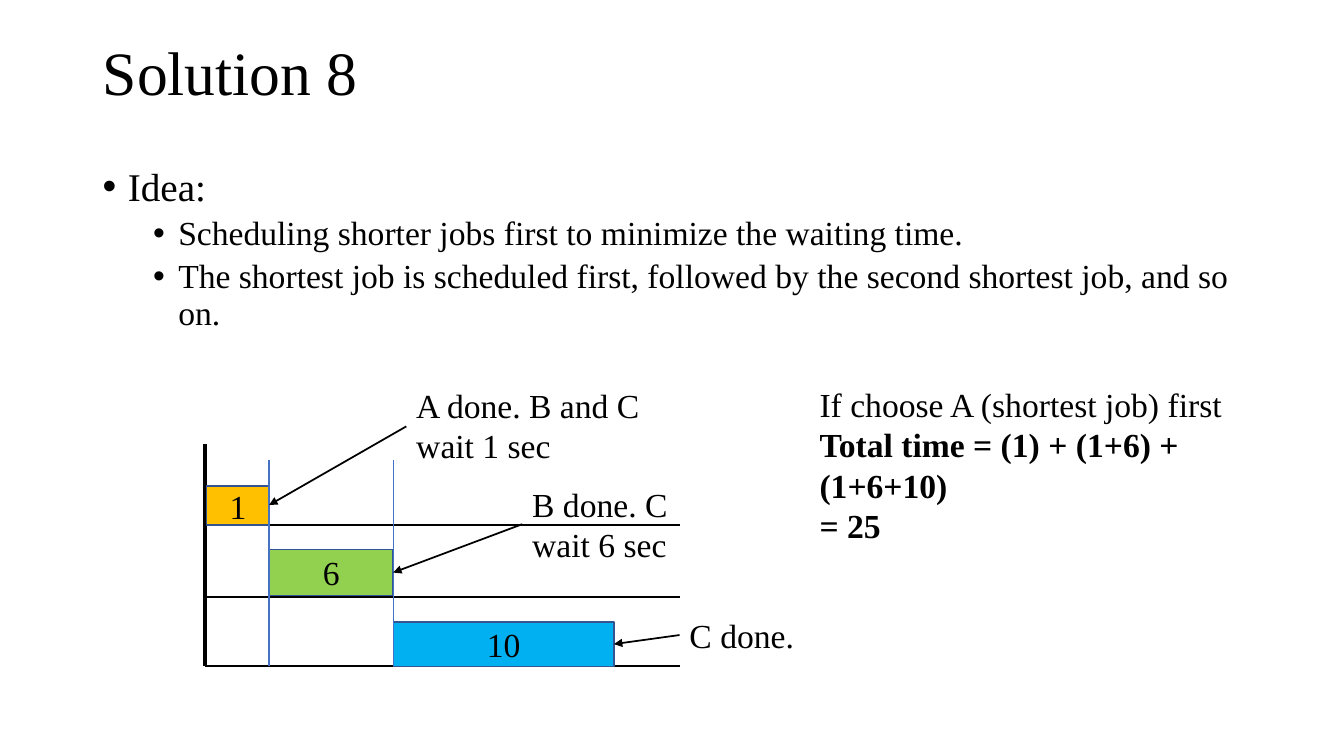
from lxml.etree import SubElement
from pptx import Presentation
from pptx.dml.color import RGBColor
from pptx.enum.shapes import MSO_CONNECTOR, MSO_SHAPE
from pptx.enum.text import MSO_ANCHOR, MSO_AUTO_SIZE, PP_ALIGN
from pptx.oxml.ns import qn
from pptx.util import Emu, Pt

BLACK = RGBColor(0x00, 0x00, 0x00)
ORANGE = RGBColor(0xFF, 0xC0, 0x00)
GREEN = RGBColor(0x92, 0xD0, 0x50)
SKY = RGBColor(0x00, 0xB0, 0xF0)
OUTLINE = RGBColor(0x32, 0x54, 0x91)
GUIDE = RGBColor(0x44, 0x72, 0xC4)
EMU_PER_PX = 9144


def px(length):
    return Emu(length * EMU_PER_PX)


class SlideBuilder:
    """Draws styled elements on one slide, at 100 px to the inch."""

    font_name = "Times New Roman"
    text_size = 24

    def __init__(self, presentation):
        self.slide = presentation.slides.add_slide(presentation.slide_layouts[5])

    def run(self, paragraph, text, size=text_size, bold=False):
        run = paragraph.add_run()
        run.text = text
        run.font.name = self.font_name
        run.font.size = Pt(size)
        run.font.bold = bold
        run.font.color.rgb = BLACK

    def title(self, text, left, top, width, height):
        shape = self.slide.shapes.title
        shape.left, shape.top = px(left), px(top)
        shape.width, shape.height = px(width), px(height)
        frame = shape.text_frame
        frame.auto_size = MSO_AUTO_SIZE.NONE
        frame.vertical_anchor = MSO_ANCHOR.MIDDLE
        paragraph = frame.paragraphs[0]
        paragraph.alignment = PP_ALIGN.LEFT
        paragraph.line_spacing = 0.9
        self.run(paragraph, text, 44)

    def text_frame(self, left, top, width, height):
        shape = self.slide.shapes.add_textbox(px(left), px(top), px(width), px(height))
        shape.text_frame.word_wrap = True
        return shape.text_frame

    def paragraphs(self, frame, count):
        return [frame.paragraphs[0]] + [frame.add_paragraph() for _ in range(count - 1)]

    def bullets(self, items, left, top, width, height):
        frame = self.text_frame(left, top, width, height)
        for paragraph, (level, text) in zip(self.paragraphs(frame, len(items)), items):
            paragraph.level = level
            properties = paragraph._p.get_or_add_pPr()
            properties.set("marL", str(px(25 + 50 * level)))
            properties.set("indent", str(px(-25)))
            SubElement(properties, qn("a:buFont")).set("typeface", "Arial")
            SubElement(properties, qn("a:buChar")).set("char", "•")
            paragraph.line_spacing = 0.9
            if level:
                paragraph.space_before = Pt(5)
            self.run(paragraph, text, 28 - 4 * level)

    def note(self, lines, left, top, width, height):
        frame = self.text_frame(left, top, width, height)
        frame.auto_size = MSO_AUTO_SIZE.SHAPE_TO_FIT_TEXT
        for paragraph, (text, bold) in zip(self.paragraphs(frame, len(lines)), lines):
            self.run(paragraph, text, bold=bold)

    def bar(self, text, left, top, width, height, color):
        shape = self.slide.shapes.add_shape(
            MSO_SHAPE.RECTANGLE, px(left), px(top), px(width), px(height))
        shape.shadow.inherit = False
        shape.fill.solid()
        shape.fill.fore_color.rgb = color
        shape.line.color.rgb = OUTLINE
        shape.line.width = Pt(1)
        shape.text_frame.vertical_anchor = MSO_ANCHOR.MIDDLE
        paragraph = shape.text_frame.paragraphs[0]
        paragraph.alignment = PP_ALIGN.CENTER
        self.run(paragraph, text)

    def line(self, start, end, color=BLACK, width=1.5, arrow=False):
        connector = self.slide.shapes.add_connector(
            MSO_CONNECTOR.STRAIGHT, *map(px, start + end))
        connector.line.color.rgb = color
        connector.line.width = Pt(width)
        properties = connector._element.spPr
        if arrow:
            outline = properties.find(qn("a:ln"))
            SubElement(outline, qn("a:tailEnd")).set("type", "triangle")
        SubElement(properties, qn("a:effectLst"))


def main():
    presentation = Presentation()
    presentation.slide_width, presentation.slide_height = px(1333), px(750)
    builder = SlideBuilder(presentation)

    builder.title("Solution 8", 92, 2, 1150, 145)
    builder.bullets([
        (0, "Idea:"),
        (1, "Scheduling shorter jobs first to minimize the waiting time."),
        (1, "The shortest job is scheduled first, followed by the second "
            "shortest job, and so on."),
    ], 92, 161, 1150, 514)

    axis_left, axis_right, axis_top, axis_bottom = 203, 674, 440, 661
    builder.line((axis_left, axis_top), (axis_left, axis_bottom), width=3)
    for row_bottom in (521, 592, axis_bottom):
        builder.line((axis_left, row_bottom), (axis_right, row_bottom))

    builder.note([
        ("If choose A (shortest job) first", False),
        ("Total time = (1) + (1+6) + (1+6+10)", True),
        ("= 25", True),
    ], 803, 376, 438, 172)

    jobs = [
        ("1", 205, 482, 62, 39, ORANGE),
        ("6", 267, 545, 123, 46, GREEN),
        ("10", 390, 617, 219, 44, SKY),
    ]
    for job in jobs:
        builder.bar(*job)
    for _, start, *_ in jobs[1:]:
        builder.line((start, 456), (start, axis_bottom), GUIDE, 1)

    callouts = [
        ("A done. B and C wait 1 sec", (403, 377, 259, 91), (403, 423), (267, 501)),
        ("B done. C wait 6 sec", (518, 475, 214, 91), (518, 520), (390, 568)),
        ("C done.", (674, 605, 214, 50), (674, 630), (609, 639)),
    ]
    for text, box, tail, tip in callouts:
        builder.note([(text, False)], *box)
        builder.line(tail, tip, width=1.25, arrow=True)

    presentation.save("out.pptx")


if __name__ == "__main__":
    main()
